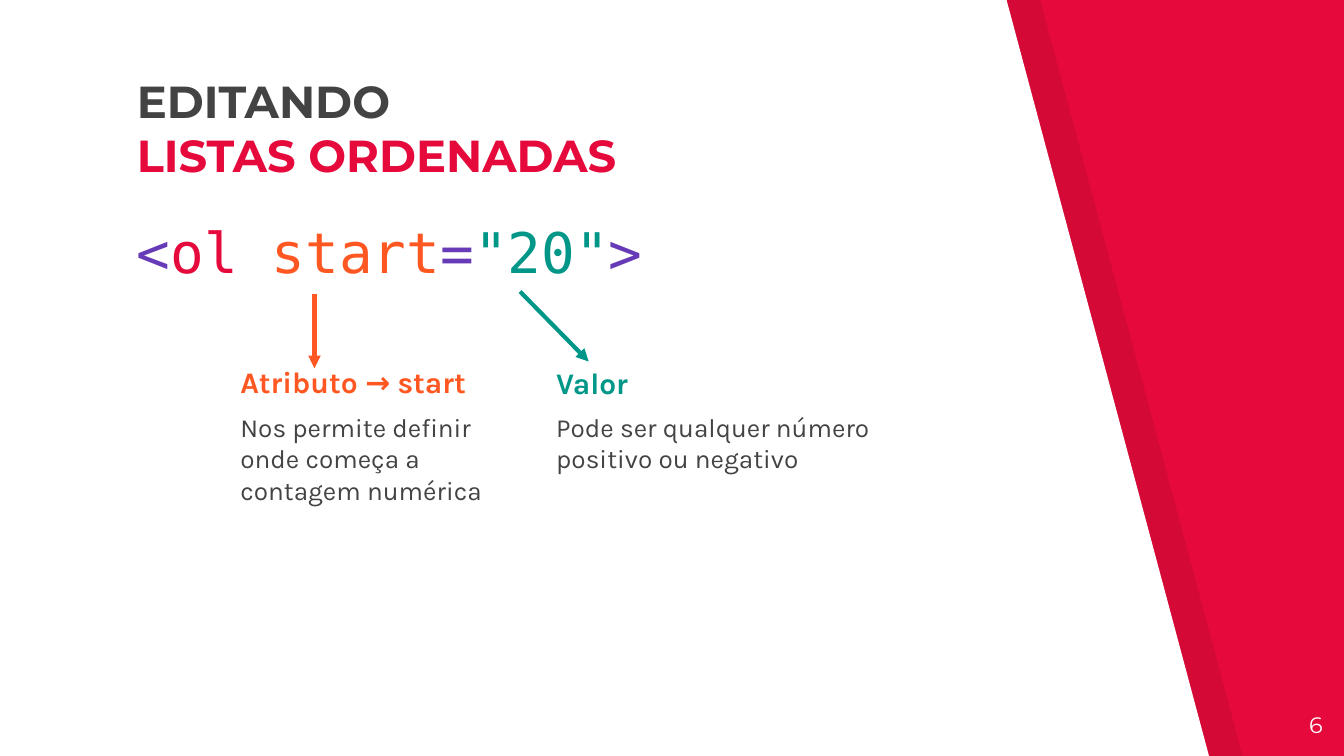
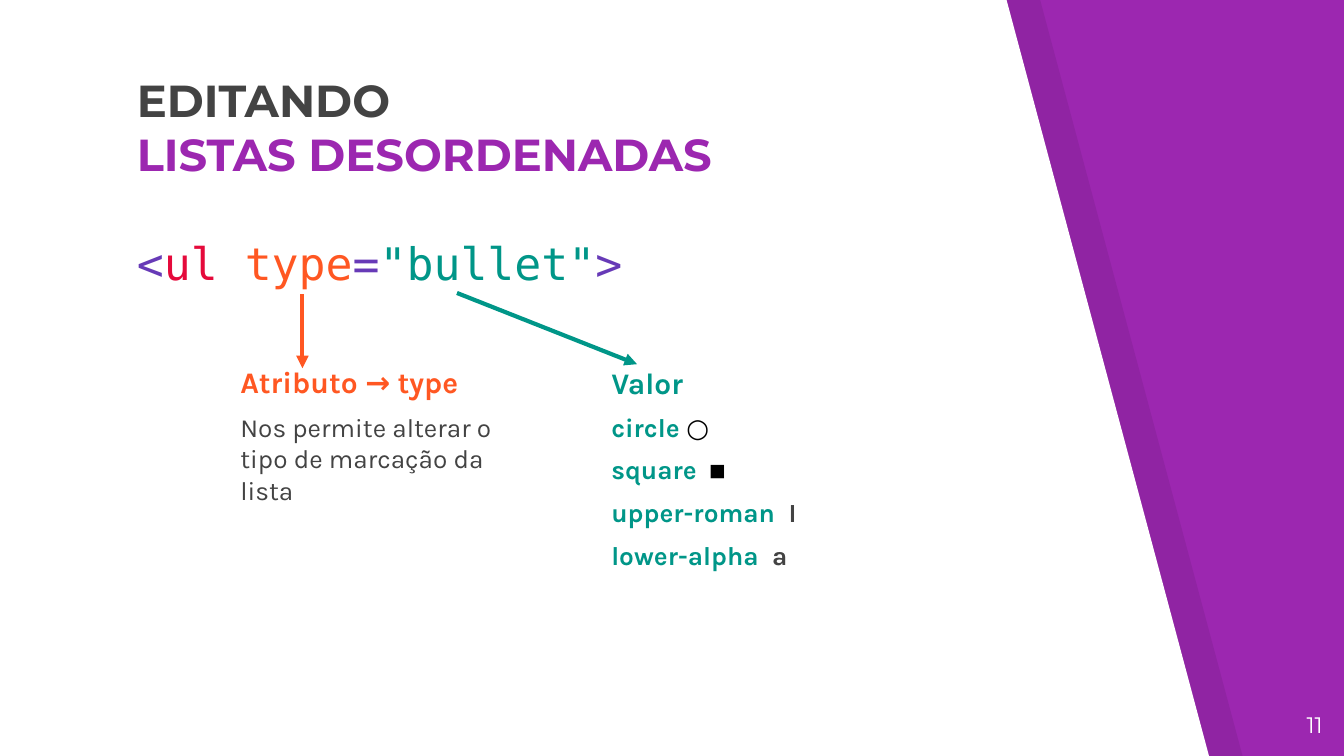
from lxml import etree
from pptx import Presentation
from pptx.dml.color import RGBColor
from pptx.enum.shapes import MSO_CONNECTOR
from pptx.enum.text import MSO_ANCHOR, PP_ALIGN
from pptx.oxml.ns import qn
from pptx.util import Pt

PX = 9144
WIDTH = 1000 * PX
HEIGHT = WIDTH * 9 // 16
INSET = 10
LEFT = 92
STRAIGHT = MSO_CONNECTOR.STRAIGHT
TOP, BOTTOM = MSO_ANCHOR.TOP, MSO_ANCHOR.BOTTOM
RIGHT = PP_ALIGN.RIGHT

RED, PURPLE, VIOLET = "E50A3B", "9C27B0", "673AB7"
ORANGE, TEAL = "FF5722", "009688"
GREY, BLACK, WHITE = "434343", "000000", "FFFFFF"

TITLE = {"name": "Montserrat", "size": Pt(24), "bold": True}
NUMBER = {"name": "Montserrat", "size": Pt(12)}
HEADING = {"name": "Karla", "size": Pt(16), "bold": True}
BODY = {"name": "Karla", "size": Pt(14), "bold": False}
STRONG = {**BODY, "bold": True}
CODE = {"name": "DejaVu Sans Mono"}
SPACED = {"space_before": Pt(6)}


def rgb(value):
    """Return the colour for a hex string."""
    return RGBColor.from_string(value)


def set_all(target, values):
    """Set each attribute named in a dict of format values."""
    for name, value in values.items():
        setattr(target, name, value)


def add_text(page, area, paragraphs, layout=None, anchor=TOP):
    """Add a text box of paragraphs, each a list of (text, colour, font) spans."""
    box = page.shapes.add_textbox(*(length * PX for length in area))
    frame = box.text_frame
    margins = {f"margin_{side}": INSET * PX for side in ("left", "top", "right", "bottom")}
    set_all(frame, {"word_wrap": True, "vertical_anchor": anchor, **margins})
    for index, spans in enumerate(paragraphs):
        para = frame.add_paragraph() if index else frame.paragraphs[0]
        set_all(para, layout or {})
        for text, colour, font in spans:
            span = para.add_run()
            span.text = text
            set_all(span.font, font)
            span.font.color.rgb = rgb(colour)


def add_band(page, left, colour, opacity=100):
    """Add a slanted panel that starts at the given left edge."""
    builder = page.shapes.build_freeform(left, -1, scale=PX)
    builder.add_line_segments([(left, 564), (left + 900, 564), (left + 749, 0)])
    band = builder.convert_to_shape()
    band.shadow.inherit = False
    band.fill.solid()
    band.fill.fore_color.rgb = rgb(colour)
    band.line.fill.background()
    if opacity < 100:
        tint = band.fill._xPr.find(qn("a:solidFill"))[0]
        etree.SubElement(tint, qn("a:alpha"), val=str(opacity * 1000))


def add_arrow(page, start, end, colour):
    """Add a straight arrow between two points."""
    arrow = page.shapes.add_connector(STRAIGHT, *(length * PX for length in start + end))
    arrow.line.width = Pt(2.25)
    arrow.line.color.rgb = rgb(colour)
    etree.SubElement(arrow.line._get_or_add_ln(), qn("a:tailEnd"), type="triangle")
    etree.SubElement(arrow._element.spPr, qn("a:effectLst"))


def add_page(deck, accent, number, title, top):
    """Add a page with its background, slanted bands, title and number."""
    page = deck.slides.add_slide(deck.slide_layouts[6])
    page.background.fill.solid()
    page.background.fill.fore_color.rgb = rgb(accent)
    add_band(page, 25, BLACK, opacity=7)
    add_band(page, 0, WHITE)
    lines = [[("EDITANDO", GREY, TITLE)], [(title, accent, TITLE)]]
    add_text(page, (LEFT, top, 584, 45), lines, anchor=BOTTOM)
    add_text(page, (934, 519, 60, 43), [[(number, WHITE, NUMBER)]], {"alignment": RIGHT})
    return page


def add_tag(page, top, size, tag, attribute, value):
    """Add one line of coloured HTML code."""
    parts = [("<", VIOLET), (f"{tag} ", RED), (attribute, ORANGE),
             ("=", VIOLET), (f'"{value}"', TEAL), (">", VIOLET)]
    font = {**CODE, "size": Pt(size)}
    add_text(page, (LEFT, top, 602, 109), [[(*part, font) for part in parts]])


def add_attribute(page, attribute, description, arrow_x):
    """Add the note on the attribute and the arrow that leads to it."""
    lines = [[(f"Atributo → {attribute}", ORANGE, HEADING)], [(description, GREY, BODY)]]
    add_text(page, (169, 261, 227, 140), lines, SPACED)
    add_arrow(page, (arrow_x, 219), (arrow_x, 274), ORANGE)


def add_value(page, left, width, lines, start, end):
    """Add the note on the value and the arrow that leads to it."""
    heading = [("Valor", TEAL, HEADING)]
    add_text(page, (left, 261, width, 278), [heading, *lines], SPACED)
    add_arrow(page, start, end, TEAL)


def main():
    """Build and save the deck."""
    deck = Presentation()
    deck.slide_width, deck.slide_height = WIDTH, HEIGHT

    ordered = add_page(deck, RED, "6", "LISTAS ORDENADAS", 100)
    add_tag(ordered, 152, 30, "ol", "start", "20")
    add_attribute(ordered, "start", "Nos permite definir onde começa a contagem numérica", 234)
    note = [("Pode ser qualquer número positivo ou negativo", GREY, BODY)]
    add_value(ordered, 404, 266, [note], (387, 217), (438, 269))

    unordered = add_page(deck, PURPLE, "11", "LISTAS DESORDENADAS", 99)
    add_tag(unordered, 165, 24, "ul", "type", "bullet")
    add_attribute(unordered, "type", "Nos permite alterar o tipo de marcação da lista", 225)
    markers = [("circle ", "○", BLACK, STRONG), ("square", "  ◼", BLACK, BODY),
               ("upper-roman  ", "I", GREY, STRONG), ("lower-alpha  ", "a", GREY, STRONG)]
    lines = [[(name, TEAL, STRONG), (marker, colour, font)]
             for name, marker, colour, font in markers]
    add_value(unordered, 445, 277, lines, (340, 218), (474, 271))

    deck.save("out.pptx")


if __name__ == "__main__":
    main()
